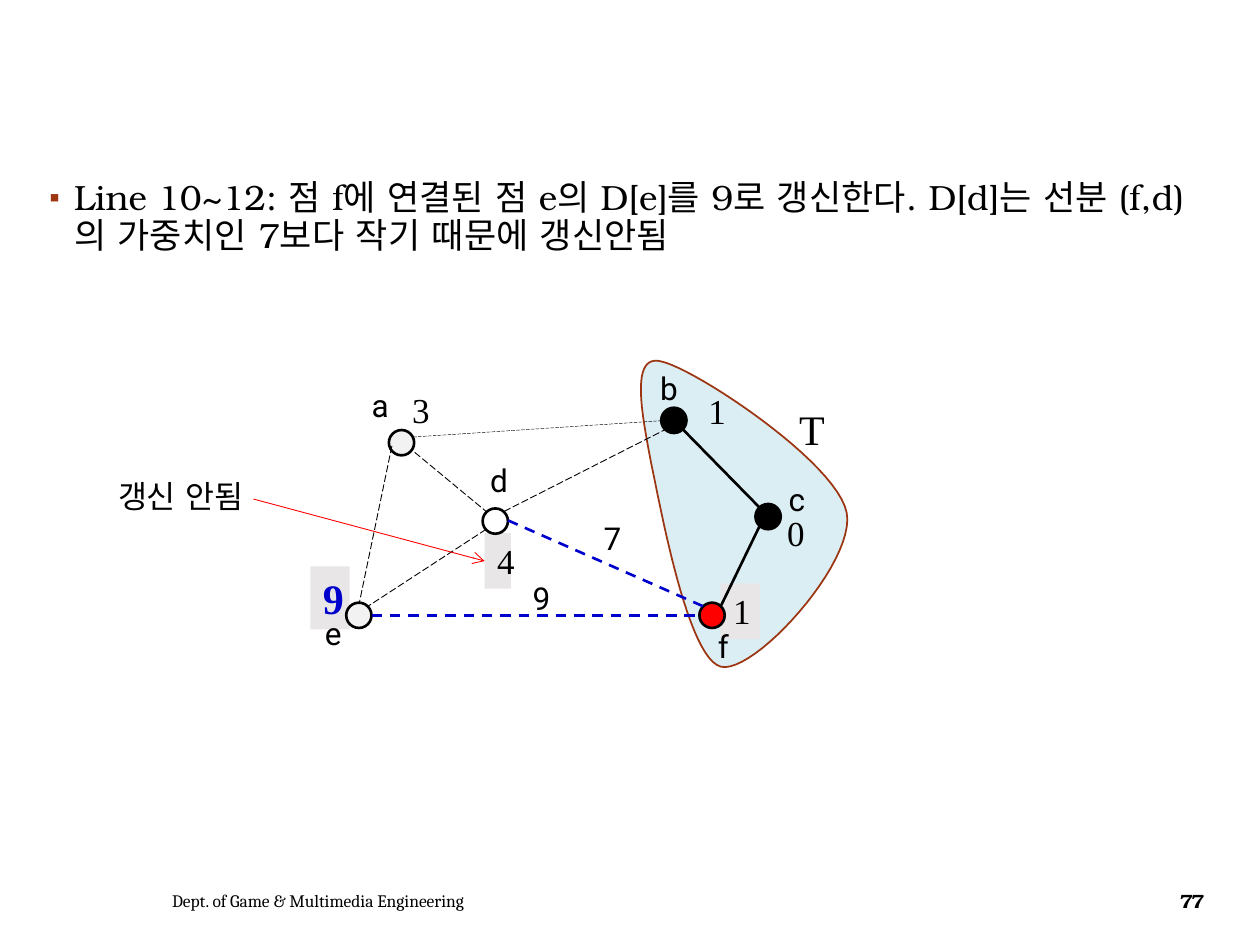
from lxml import etree
from pptx import Presentation
from pptx.dml.color import RGBColor
from pptx.enum.dml import MSO_LINE_DASH_STYLE as Dash
from pptx.enum.shapes import MSO_CONNECTOR as Connector, MSO_SHAPE as Shape
from pptx.enum.text import MSO_ANCHOR as Anchor, MSO_AUTO_SIZE as AutoSize, PP_ALIGN as Align
from pptx.oxml import parse_xml
from pptx.oxml.ns import nsdecls, qn
from pptx.util import Cm, Pt


def color(hex_string):
    return RGBColor.from_string(hex_string)


def write(shape, text, align=Align.LEFT, wrap=True, anchor=Anchor.TOP, ink="000000", **font_format):
    frame = shape.text_frame
    frame.word_wrap = wrap
    frame.auto_size = AutoSize.NONE
    frame.vertical_anchor = anchor
    paragraph = frame.paragraphs[0]
    paragraph.alignment = align
    run = paragraph.add_run()
    run.text = text
    run.font.color.rgb = color(ink)
    for name, value in font_format.items():
        setattr(run.font, name, value)
    # Korean text and its spaces take the same typeface
    etree.SubElement(run._r.get_or_add_rPr(), qn("a:ea"), typeface=run.font.name)
    return paragraph


presentation = Presentation()
presentation.slide_width, presentation.slide_height = Cm(25.4), Cm(19.05)
slide = presentation.slides.add_slide(presentation.slide_layouts[1])
shapes = slide.shapes
title = shapes.title.element
title.getparent().remove(title)

# Bulleted explanation
body = slide.placeholders[1]
body.left, body.top, body.width, body.height = Cm(0.74), Cm(3.51), Cm(23.95), Cm(13.64)
paragraph = write(
    body,
    "Line 10~12: 점 f에 연결된 점 e의 D[e]를 9로 갱신한다. D[d]는 선분 (f,d)의 가중치인 7보다 작기 때문에 갱신안됨",
    name="TeX Gyre Bonum", size=Pt(20))
paragraph.line_spacing = 0.9
paragraph.space_before = Pt(0)
properties = paragraph._p.get_or_add_pPr()
properties.set("marL", str(Cm(0.5)))
properties.set("indent", str(Cm(-0.5)))
for bullet in (
    '<a:buClr {}><a:srgbClr val="9E3611"/></a:buClr>',
    '<a:buSzPct {} val="85000"/>',
    '<a:buChar {} char="▪"/>',
):
    properties.append(parse_xml(bullet.format(nsdecls("a"))))

# Region of tree T: cubic curves sampled into a fine outline
start = (14.53, 13.44)
curves = [
    ((13.87, 13.26), (13.34, 10.36), (13.13, 9.35)),
    ((12.93, 8.31), (12.7, 7.11), (13.34, 7.29)),
    ((14.02, 7.44), (16.87, 9.32), (17.07, 10.34)),
    ((17.25, 11.35), (15.19, 13.61), start),
]
steps = 24
outline = []
current = start
for first, second, end in curves:
    for step in range(1, steps + 1):
        t = step / steps
        weights = ((1 - t) ** 3, 3 * t * (1 - t) ** 2, 3 * t * t * (1 - t), t ** 3)
        points = (current, first, second, end)
        outline.append(tuple(Cm(sum(w * p[axis] for w, p in zip(weights, points))) for axis in (0, 1)))
    current = end
builder = shapes.build_freeform(Cm(start[0]), Cm(start[1]))
builder.add_line_segments(outline, close=True)
region = builder.convert_to_shape()
region.shadow.inherit = False
region.fill.solid()
region.fill.fore_color.rgb = color("DBEEF4")
region.line.color.rgb = color("9C3511")
region.line.width = Pt(1)

# Grey boxes with the distances of e, f and d
serif = {"name": "Times New Roman", "size": Pt(20)}
updated = {"name": "Times New Roman", "size": Pt(24), "bold": True, "ink": "0000CC"}
for text, left, top, width, height, style in [
    ("9", 6.26, 11.42, 0.79, 1.27, updated),
    ("1", 14.53, 11.76, 0.79, 1.12, serif),
    ("4", 9.77, 10.75, 0.53, 1.12, serif),
]:
    box = shapes.add_shape(Shape.RECTANGLE, Cm(left), Cm(top), Cm(width), Cm(height))
    box.shadow.inherit = False
    box.fill.solid()
    box.fill.fore_color.rgb = color("E9E6E7")
    box.line.fill.background()
    write(box, text, Align.CENTER, **style)

# Graph nodes: b, d, e, c, f, a
diameter = Cm(0.51)
for left, top, fill in [
    (13.33, 8.22, "000000"),
    (9.73, 10.25, "FFFFFF"),
    (6.98, 12.15, "F2F2F2"),
    (15.23, 10.16, "000000"),
    (14.1, 12.15, "FF0000"),
    (7.84, 8.67, "F2F2F2"),
]:
    node = shapes.add_shape(Shape.OVAL, Cm(left), Cm(top), diameter, diameter)
    node.shadow.inherit = False
    node.fill.solid()
    node.fill.fore_color.rgb = color(fill)
    node.line.color.rgb = color("000000")
    node.line.width = Pt(1.5)

# Edges, ending with the red pointer
thin = ("000000", 0.5, Dash.LONG_DASH)
candidate = ("0000CC", 1.5, Dash.DASH)
tree = ("000000", 1.5, None)
for x1, y1, x2, y2, (ink, width, dash) in [
    (9.8, 10.67, 7.42, 12.22, thin),
    (7.9, 8.99, 7.24, 12.17, thin),
    (10.24, 10.49, 14.17, 12.22, candidate),
    (7.49, 12.41, 14.1, 12.41, candidate),
    (8.33, 8.81, 13.34, 8.48, ("000000", 0.25, Dash.LONG_DASH)),
    (10.16, 10.31, 13.41, 8.66, thin),
    (15.32, 10.24, 13.77, 8.66, tree),
    (14.53, 12.22, 15.32, 10.59, tree),
    (8.36, 9.12, 9.8, 10.31, thin),
    (5.11, 10.06, 9.77, 11.31, ("FF0000", 0.5, None)),
]:
    edge = shapes.add_connector(Connector.STRAIGHT, Cm(x1), Cm(y1), Cm(x2), Cm(y2))
    edge.line.color.rgb = color(ink)
    edge.line.width = Pt(width)
    if dash:
        edge.line.dash_style = dash
    etree.SubElement(edge._element.spPr, qn("a:effectLst"))
etree.SubElement(edge.line._get_or_add_ln(), qn("a:tailEnd"), type="arrow")

# Labels, grouped by style
sans = {"name": "Roboto", "size": Pt(18), "wrap": False}
number = {**serif, "align": Align.CENTER}
footer = {"anchor": Anchor.MIDDLE}
labels = [
    ("a", 7.24, 7.66, 0.86, 1.02, sans),
    ("b", 13.06, 7.32, 0.86, 1.02, sans),
    ("c", 15.65, 9.55, 0.81, 1.02, sans),
    ("d", 9.63, 9.17, 0.86, 1.02, sans),
    ("e", 6.3, 12.25, 0.86, 1.02, sans),
    ("f", 14.22, 12.52, 0.71, 1.02, sans),
    ("9", 10.49, 11.55, 0.86, 1.02, sans),
    ("7", 11.92, 10.34, 0.86, 1.02, sans),
    ("3", 8.06, 7.7, 0.79, 1.12, number),
    ("0", 15.62, 10.19, 0.79, 1.12, number),
    ("1", 14.03, 7.72, 0.79, 1.12, number),
    ("T", 15.67, 8, 1.4, 1.27, {**number, "size": Pt(24)}),
    ("갱신 안됨", 2.13, 9.5, 4.39, 1.02, {"name": "TeX Gyre Bonum", "size": Pt(18)}),
    ("Dept. of Game & Multimedia Engineering", 3.22, 17.65, 11.66, 1.02,
     {**footer, "name": "Cambria", "size": Pt(10)}),
    ("77", 23.36, 17.65, 1.35, 1.02,
     {**footer, "align": Align.CENTER, "name": "TeX Gyre Bonum", "size": Pt(11), "bold": True}),
]
for text, left, top, width, height, style in labels:
    label = shapes.add_textbox(Cm(left), Cm(top), Cm(width), Cm(height))
    paragraph = write(label, text, **style)

# Tighter letters in the page number, the last label
paragraph.runs[0]._r.get_or_add_rPr().set("spc", "-70")

presentation.save("out.pptx")
